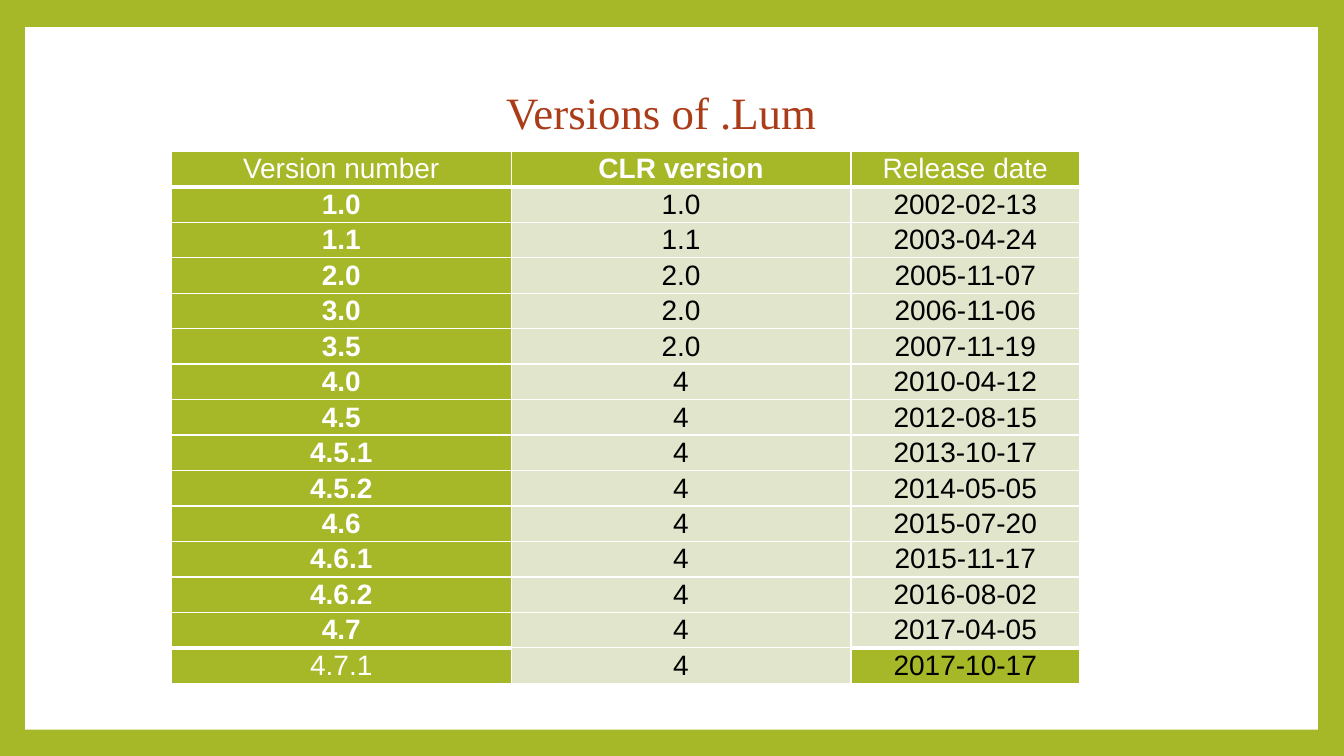
from lxml.etree import SubElement as Sub
from pptx import Presentation
from pptx.dml.color import RGBColor as RGB
from pptx.enum.shapes import MSO_SHAPE as Shape
from pptx.enum.text import MSO_ANCHOR as Anchor, PP_ALIGN as Align
from pptx.oxml.ns import qn
from pptx.util import Inches, Pt

GREEN, PALE, WHITE, BLACK, RUST = "A6B727", "E0E5CB", "FFFFFF", "000000", "AB3C19"
HEAD = ["Version number", "CLR version", "Release date"]
ROWS = [
    ("1.0", "1.0", "2002-02-13"),
    ("1.1", "1.1", "2003-04-24"),
    ("2.0", "2.0", "2005-11-07"),
    ("3.0", "2.0", "2006-11-06"),
    ("3.5", "2.0", "2007-11-19"),
    ("4.0", "4", "2010-04-12"),
    ("4.5", "4", "2012-08-15"),
    ("4.5.1", "4", "2013-10-17"),
    ("4.5.2", "4", "2014-05-05"),
    ("4.6", "4", "2015-07-20"),
    ("4.6.1", "4", "2015-11-17"),
    ("4.6.2", "4", "2016-08-02"),
    ("4.7", "4", "2017-04-05"),
    ("4.7.1", "4", "2017-10-17"),
]
COLS = [3.37, 3.37, 2.27]
TALL = 5.28


def paint(fill, color):
    fill.solid()
    fill.fore_color.rgb = RGB.from_string(color)


def write(frame, text, size=20, font="Arial", color=BLACK, bold=False,
          align=Align.CENTER, space=1.0):
    para = frame.paragraphs[0]
    para.alignment, para.line_spacing = align, space
    run = para.add_run()
    run.text = text
    run.font.size, run.font.name, run.font.bold = Pt(size), font, bold
    paint(run.font.fill, color)


deck = Presentation()
deck.slide_width, deck.slide_height = Inches(13.33), Inches(7.5)
slide = deck.slides.add_slide(deck.slide_layouts[6])
paint(slide.background.fill, GREEN)

# White panel inside the green frame
panel = slide.shapes.add_shape(Shape.RECTANGLE, Inches(0.25), Inches(0.27),
                               Inches(12.82), Inches(6.97))
panel.shadow.inherit = False
paint(panel.fill, WHITE)
panel.line.fill.background()

# Title
title = slide.shapes.add_textbox(Inches(0.92), Inches(0.85), Inches(11.5), Inches(0.65))
title.text_frame.word_wrap = True
title.text_frame.margin_left = Inches(4.1)
write(title.text_frame, "Versions of .Lum", size=32, font="Times New Roman",
      color=RUST, align=Align.LEFT, space=0.9)

# Version table
data = [HEAD, *ROWS]
last = len(data) - 1
table = slide.shapes.add_table(len(data), len(COLS), Inches(1.7), Inches(1.5),
                               Inches(sum(COLS)), Inches(TALL)).table
for col, width in zip(table.columns, COLS):
    col.width = Inches(width)
for r, row in enumerate(data):
    table.rows[r].height = Inches(TALL / len(data))
    for c, text in enumerate(row):
        cell = table.cell(r, c)
        head, end = r == 0, r == last
        cell.margin_left = cell.margin_right = Inches(0.01)
        cell.margin_top = cell.margin_bottom = Pt(0.5)
        cell.vertical_anchor = Anchor.MIDDLE
        bold = c == 1 if head else c == 0 and not end
        write(cell.text_frame, text, color=WHITE if head or c == 0 else BLACK, bold=bold)

        # Thick rules lie under the header and over the green cells of the last row
        thick = {"lnT": r == 1 or end and c != 1,
                 "lnB": head or r == last - 1 and c != 1}
        props = cell._tc.get_or_add_tcPr()
        for side in ("lnL", "lnR", "lnT", "lnB"):
            line = Sub(props, qn(f"a:{side}"), w=str(Pt(3 if thick.get(side) else 1)))
            Sub(Sub(line, qn("a:solidFill")), qn("a:srgbClr"), val=WHITE)
        paint(cell.fill, GREEN if head or c == 0 or end and c == 2 else PALE)

deck.save("out.pptx")
